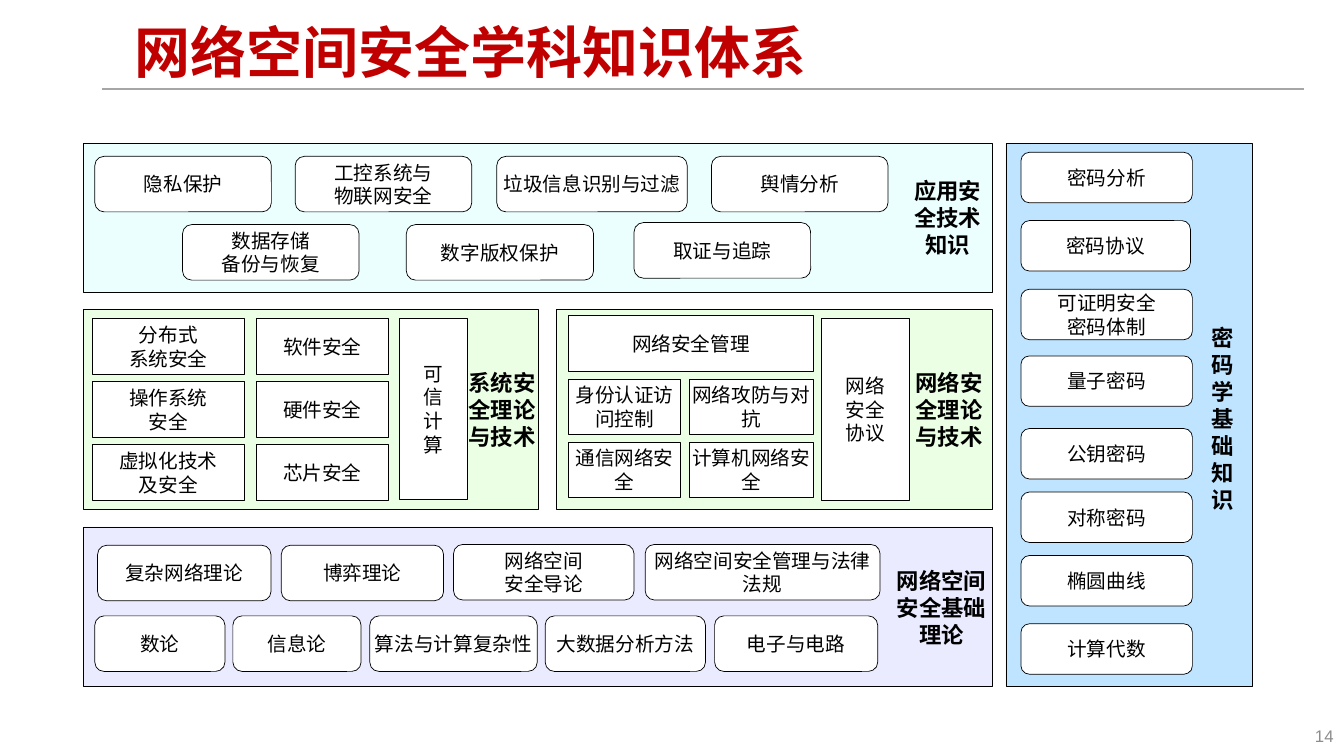
from lxml.etree import SubElement
from pptx import Presentation
from pptx.dml.color import RGBColor
from pptx.enum.shapes import MSO_CONNECTOR as LineKind, MSO_SHAPE as Preset
from pptx.enum.text import MSO_ANCHOR as Anchor, PP_ALIGN as Align
from pptx.oxml.ns import qn
from pptx.util import Cm, Pt

CJK = "Noto Sans CJK SC"


def color(hex_code):
    return RGBColor.from_string(hex_code)


def write(frame, text, size, hex_code="000000", bold=False, align=Align.CENTER,
          font=CJK, inset=0, spacing=1.0):
    """Fill a text frame; a bar in the text starts a new paragraph."""
    frame.word_wrap = True
    frame.vertical_anchor = Anchor.MIDDLE
    frame.margin_left = frame.margin_right = Cm(inset)
    frame.margin_top = frame.margin_bottom = Cm(inset / 2)
    for number, line in enumerate(text.split("|")):
        paragraph = frame.add_paragraph() if number else frame.paragraphs[0]
        paragraph.alignment = align
        paragraph.line_spacing = spacing
        run = paragraph.add_run()
        run.text = line
        run.font.size = Pt(size)
        run.font.bold = bold
        run.font.color.rgb = color(hex_code)
        run.font.name = font
        SubElement(run.font._element, qn("a:ea")).set("typeface", font)


deck = Presentation()
deck.slide_width, deck.slide_height = Cm(33.87), Cm(19.05)
slide = deck.slides.add_slide(deck.slide_layouts[6])
shapes = slide.shapes

# Title, rule below it and page number
rule = shapes.add_connector(LineKind.STRAIGHT, Cm(2.57), Cm(2.24), Cm(32.87), Cm(2.24))
rule.line.color.rgb = color("A6A6A6")
rule.line.width = Pt(1)
SubElement(rule._element.spPr, qn("a:effectLst"))
title = shapes.add_textbox(Cm(3.15), Cm(0.38), Cm(28.4), Cm(2.01))
write(title.text_frame, "网络空间安全学科知识体系", 40, "C00000", True,
      Align.LEFT, inset=0.25, spacing=0.9)
page_number = shapes.add_textbox(Cm(26.24), Cm(18.03), Cm(7.62), Cm(1.02))
write(page_number.text_frame, "14", 12, "8C8C8C", align=Align.RIGHT,
      font="Arial", inset=0.25)

# Knowledge areas: left, top, width, height, fill
areas = [
    (2.11, 3.61, 22.91, 3.76, "EBFFFF"),
    (2.11, 7.8, 11.46, 5.03, "EBFFE5"),
    (14.02, 7.8, 11, 5.03, "EBFFE5"),
    (2.11, 13.28, 22.91, 4.01, "EBEBFF"),
    (25.35, 3.61, 6.2, 13.69, "BFE4FF"),
]

# Area names: left, top, width, height, text
area_names = [
    (22.89, 3.84, 1.98, 3.3, "应用安全技术知识"),
    (11.76, 8.08, 1.78, 4.47, "系统安全理论与技术"),
    (22.94, 8.08, 1.96, 4.47, "网络安全理论与技术"),
    (22.56, 13.41, 2.34, 3.81, "网络空间安全基础理论"),
    (30.3, 5.26, 1.04, 10.57, "密码学基础知识"),
]

# Rounded topics, row by row: top, then left, width, text
topic_rows = [
    (3.94, [(2.39, 4.45, "隐私保护"), (7.44, 4.45, "工控系统与|物联网安全"),
            (12.52, 4.8, "垃圾信息识别与过滤"), (17.93, 4.45, "舆情分析")]),
    (5.66, [(4.6, 4.45, "数据存储|备份与恢复"), (10.24, 4.72, "数字版权保护")]),
    (5.61, [(15.98, 4.45, "取证与追踪")]),
    (13.74, [(2.46, 4.37, "复杂网络理论"), (7.09, 4.09, "博弈理论")]),
    (13.72, [(11.43, 4.55, "网络空间|安全导论"),
             (16.26, 5.92, "网络空间安全管理与法律法规")]),
    (15.52, [(2.39, 3.28, "数论"), (5.87, 3.23, "信息论"),
             (9.32, 4.22, "算法与计算复杂性"), (13.74, 4.04, "大数据分析方法"),
             (18.01, 4.11, "电子与电路")]),
]
TOPIC_HEIGHT = 1.4
rounded_topics = [(left, top, width, TOPIC_HEIGHT, text)
                  for top, row in topic_rows for left, width, text in row]

# Rounded cryptography topics: top, width, text
crypto_topics = [
    (3.84, 4.32, "密码分析"), (5.56, 4.27, "密码协议"),
    (7.29, 4.32, "可证明安全|密码体制"), (8.97, 4.32, "量子密码"),
    (10.8, 4.32, "公钥密码"), (12.4, 4.32, "对称密码"),
    (14, 4.32, "椭圆曲线"), (15.72, 4.32, "计算代数"),
]
rounded_topics += [(25.73, top, width, 1.27, text) for top, width, text in crypto_topics]

# Square topics: tall or wide ones first, then columns with an even step
square_topics = [
    (10.06, 8.03, 1.73, 4.55, "可|信|计|算"),
    (20.7, 8.03, 2.21, 4.57, "网络|安全|协议"),
    (14.33, 7.95, 6.17, TOPIC_HEIGHT, "网络安全管理"),
]
topic_columns = [
    (2.34, 8.03, 3.81, ["分布式|系统安全", "操作系统|安全", "虚拟化技术|及安全"]),
    (6.45, 8.03, 3.35, ["软件安全", "硬件安全", "芯片安全"]),
    (14.33, 9.55, 2.82, ["身份认证访问控制", "通信网络安全"]),
    (17.37, 9.55, 3.12, ["网络攻防与对抗", "计算机网络安全"]),
]
for left, first_top, width, texts in topic_columns:
    for row, text in enumerate(texts):
        square_topics.append((left, first_top + row * 1.59, width, TOPIC_HEIGHT, text))

# Draw areas, then the topics on them
blocks = [(Preset.RECTANGLE, *area, "") for area in areas]
for preset, topics in ((Preset.RECTANGLE, square_topics),
                       (Preset.ROUNDED_RECTANGLE, rounded_topics)):
    blocks += [(preset, *topic[:4], "FFFFFF", topic[4]) for topic in topics]
for preset, left, top, width, height, fill, text in blocks:
    block = shapes.add_shape(preset, Cm(left), Cm(top), Cm(width), Cm(height))
    block.shadow.inherit = False
    block.fill.solid()
    block.fill.fore_color.rgb = color(fill)
    block.line.color.rgb = color("000000")
    block.line.width = Pt(0.5)
    if text:
        write(block.text_frame, text, 14)

# Area names
for left, top, width, height, text in area_names:
    area_name = shapes.add_textbox(Cm(left), Cm(top), Cm(width), Cm(height))
    write(area_name.text_frame, text, 16, bold=True)

deck.save("out.pptx")
